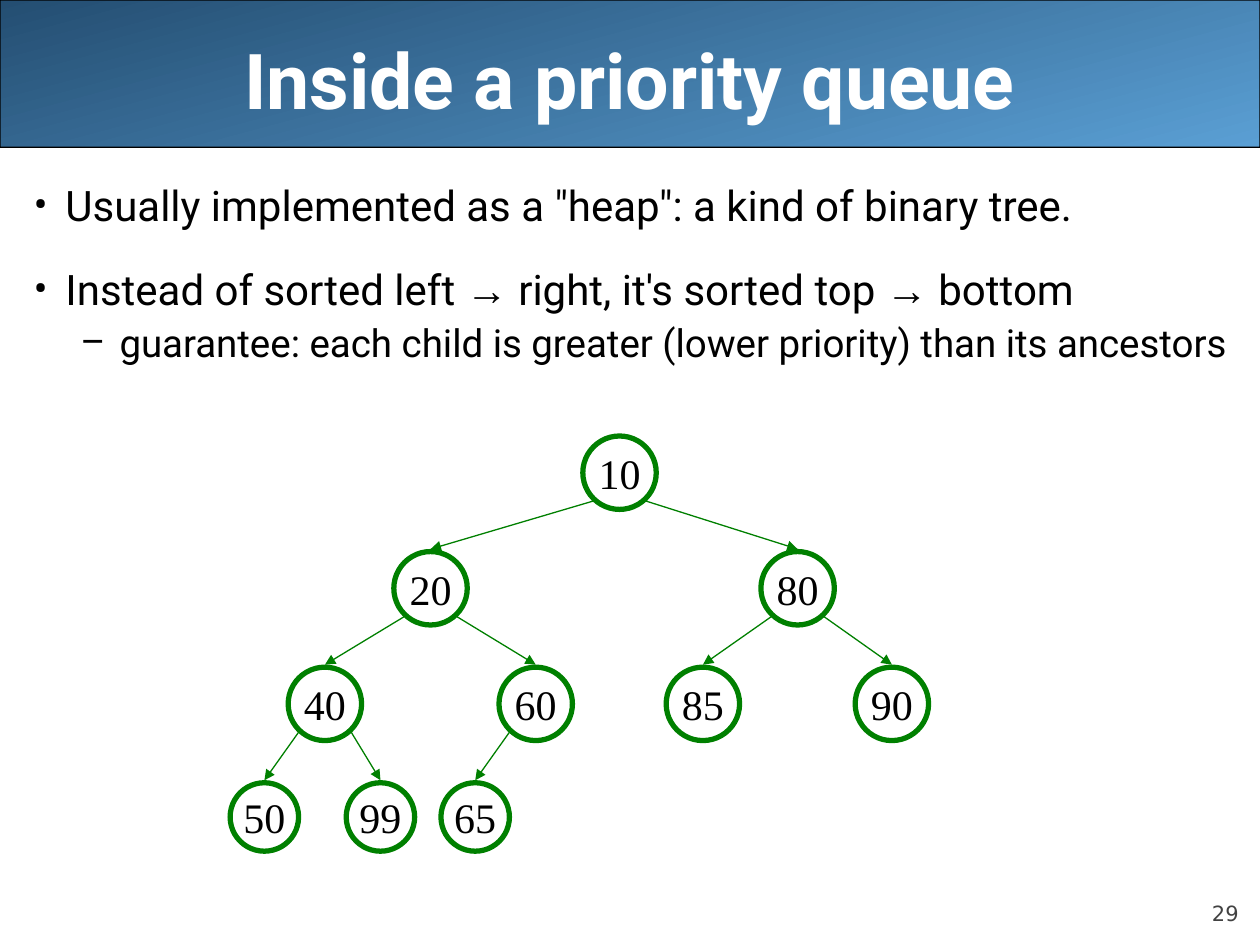
"""Builds the slide that explains the heap inside a priority queue."""
import pptx
import pptx.dml.color
import pptx.enum.shapes
import pptx.enum.text
import pptx.oxml
import pptx.oxml.ns
import pptx.util

Cm = pptx.util.Cm
Pt = pptx.util.Pt
ALIGN = pptx.enum.text.PP_ALIGN
ANCHOR = pptx.enum.text.MSO_ANCHOR
SHAPES = pptx.enum.shapes.MSO_SHAPE
GREEN = "008000"
TOP, LEVEL_STEP = 8.79, 2.33
SIZES = [1.48, 1.48, 1.48, 1.38]
NODES = {
    10: (12.49, 0, None), 20: (8.68, 1, 10), 80: (16.08, 1, 10),
    40: (6.55, 2, 20), 60: (10.8, 2, 20), 85: (14.17, 2, 80), 90: (17.98, 2, 80),
    50: (5.33, 3, 40), 99: (7.67, 3, 40), 65: (9.58, 3, 60),
}


def color(value):
    """Turn a hex string into a colour."""
    return pptx.dml.color.RGBColor.from_string(value)


def apply(target, values):
    """Set every attribute named in a dict."""
    for name, value in values.items():
        setattr(target, name, value)


def add_span(para, text, size, font, ink="000000", bold=False):
    """Add a formatted run to a paragraph."""
    span = para.add_run()
    span.text = text
    apply(span.font, {"size": Pt(size), "name": font, "bold": bold})
    span.font.color.rgb = color(ink)


def add_box(page, left, top, width, height, **frame):
    """Add a wrapping text box and return its text frame."""
    box = page.shapes.add_textbox(Cm(left), Cm(top), Cm(width), Cm(height))
    apply(box.text_frame, {"word_wrap": True, **frame})
    return box.text_frame


def add_bullet(para, sign, indent, hanging, before, spans, size):
    """Fill a paragraph as a bullet with a hanging indent."""
    properties = para._p.get_or_add_pPr()
    properties.set("marL", str(Cm(indent)))
    properties.set("indent", str(-Cm(hanging)))
    space = pptx.oxml.ns.nsdecls("a")
    for xml in (f'<a:buClr {space}><a:srgbClr val="000000"/></a:buClr>',
                f'<a:buFont {space} typeface="Roboto"/>',
                f'<a:buChar {space} char="{sign}"/>'):
        properties.append(pptx.oxml.parse_xml(xml))
    apply(para, {"line_spacing": 0.9, "space_before": Pt(before)})
    for text in spans:
        add_span(para, text, size, "Arial" if text == "→" else "Roboto")


def add_banner(page):
    """Add the gradient band with the title."""
    band = page.shapes.add_shape(SHAPES.ROUNDED_RECTANGLE, 0, 0, Cm(25.4), Cm(2.97))
    band.adjustments[0] = 0.001
    band.shadow.inherit = False
    band.fill.gradient()
    band.fill.gradient_angle = 285
    for stop, value in zip(band.fill.gradient_stops, ("244E72", "5A9FD4")):
        stop.color.rgb = color(value)
    band.line.color.rgb = color("000000")
    band.line.width = Pt(0.75)
    frame = add_box(page, 1.27, 0, 22.86, 3.18, vertical_anchor=ANCHOR.MIDDLE)
    para = frame.paragraphs[0]
    para.alignment = ALIGN.CENTER
    add_span(para, "Inside a priority queue", 44, "Roboto", "FFFFFF", True)


def add_body(page):
    """Add the bulleted explanation."""
    frame = add_box(page, 0.43, 3.61, 24.97, 6.35)
    bullets = [
        ("•", 0.64, 0.64, 0, ['Usually implemented as a "heap": a kind of binary tree.'], 24),
        ("•", 0.64, 0.64, 22,
         ["Instead of sorted left ", "→", " right, it's sorted top ", "→", " bottom"], 24),
        ("–", 1.73, 0.79, 5.5,
         ["guarantee: each child is greater (lower priority) than its ancestors"], 22),
    ]
    for index, bullet in enumerate(bullets):
        para = frame.add_paragraph() if index else frame.paragraphs[0]
        add_bullet(para, *bullet)


def add_node(page, value, center, level):
    """Add one heap node as a ringed number."""
    size = SIZES[level]
    node = page.shapes.add_shape(SHAPES.OVAL, Cm(center - size / 2),
                                 Cm(TOP + level * LEVEL_STEP), Cm(size), Cm(size))
    node.shadow.inherit = False
    node.fill.background()
    node.line.color.rgb = color(GREEN)
    node.line.width = Pt(3)
    apply(node.text_frame, {"word_wrap": False, "vertical_anchor": ANCHOR.MIDDLE})
    para = node.text_frame.paragraphs[0]
    para.alignment = ALIGN.CENTER
    add_span(para, str(value), 24, "Times New Roman")


def add_edge(page, parent, center, level):
    """Add the arrow from a parent's lower side to the top of its child."""
    start = NODES[parent][0]
    side = 0.53 if center > start else -0.53
    edge = page.shapes.add_connector(
        pptx.enum.shapes.MSO_CONNECTOR.STRAIGHT,
        Cm(start + side), Cm(TOP + (level - 1) * LEVEL_STEP + 1.31),
        Cm(center), Cm(TOP + level * LEVEL_STEP - 0.05))
    edge.line.color.rgb = color(GREEN)
    edge.line.width = Pt(0.75)
    space = pptx.oxml.ns.nsdecls("a")
    edge.line._get_or_add_ln().append(
        pptx.oxml.parse_xml(f'<a:tailEnd {space} type="triangle"/>'))
    edge._element.spPr.append(pptx.oxml.parse_xml(f"<a:effectLst {space}/>"))


def add_page_number(page):
    """Add the page number in the lower right corner."""
    margins = dict.fromkeys(
        ("margin_left", "margin_right", "margin_top", "margin_bottom"), 0)
    frame = add_box(page, 22.86, 17.65, 2.11, 1.02,
                    vertical_anchor=ANCHOR.BOTTOM, **margins)
    para = frame.paragraphs[0]
    para.alignment = ALIGN.RIGHT
    add_span(para, "29", 12, "DejaVu Sans", "424242")


def main():
    """Build and save the deck."""
    deck = pptx.Presentation()
    apply(deck, {"slide_width": Cm(25.4), "slide_height": Cm(19.05)})
    page = deck.slides.add_slide(deck.slide_layouts[6])
    add_banner(page)
    add_page_number(page)
    add_body(page)
    for value, (center, level, parent) in NODES.items():
        add_node(page, value, center, level)
        if parent is not None:
            add_edge(page, parent, center, level)
    deck.save("out.pptx")


if __name__ == "__main__":
    main()
